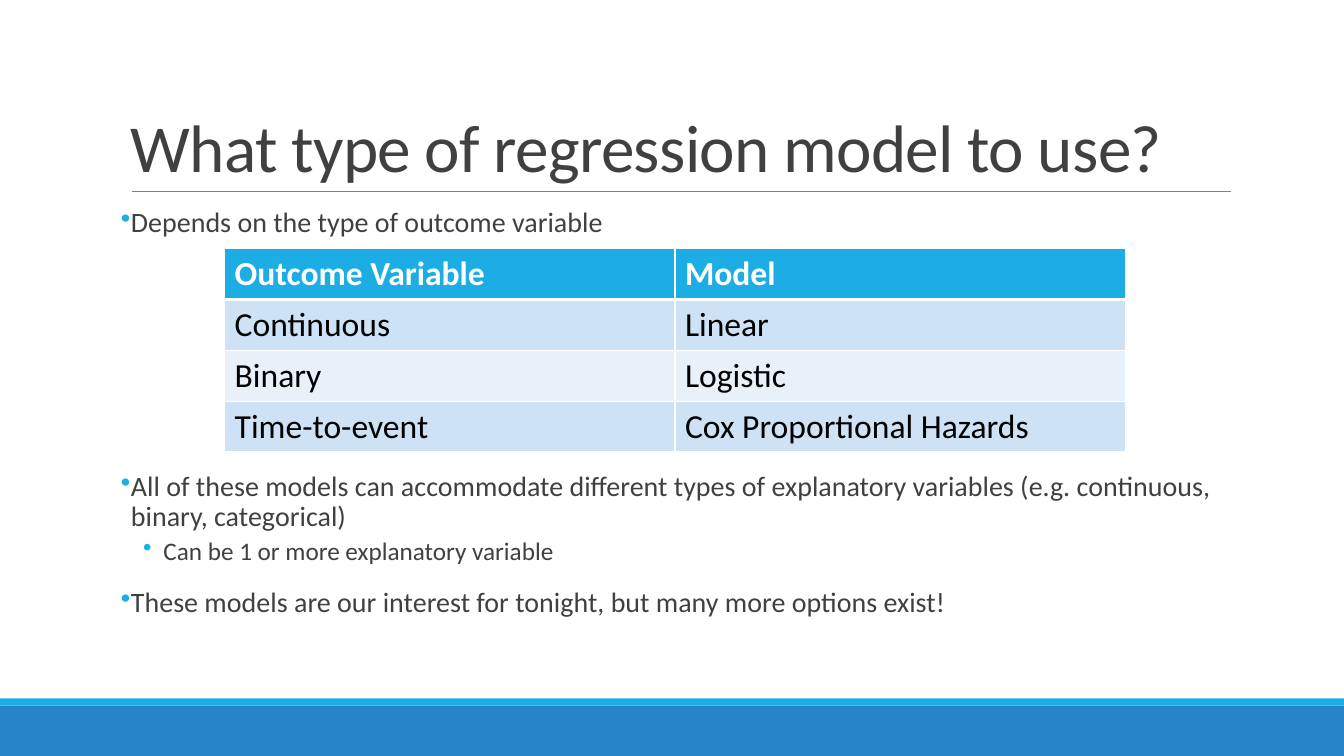
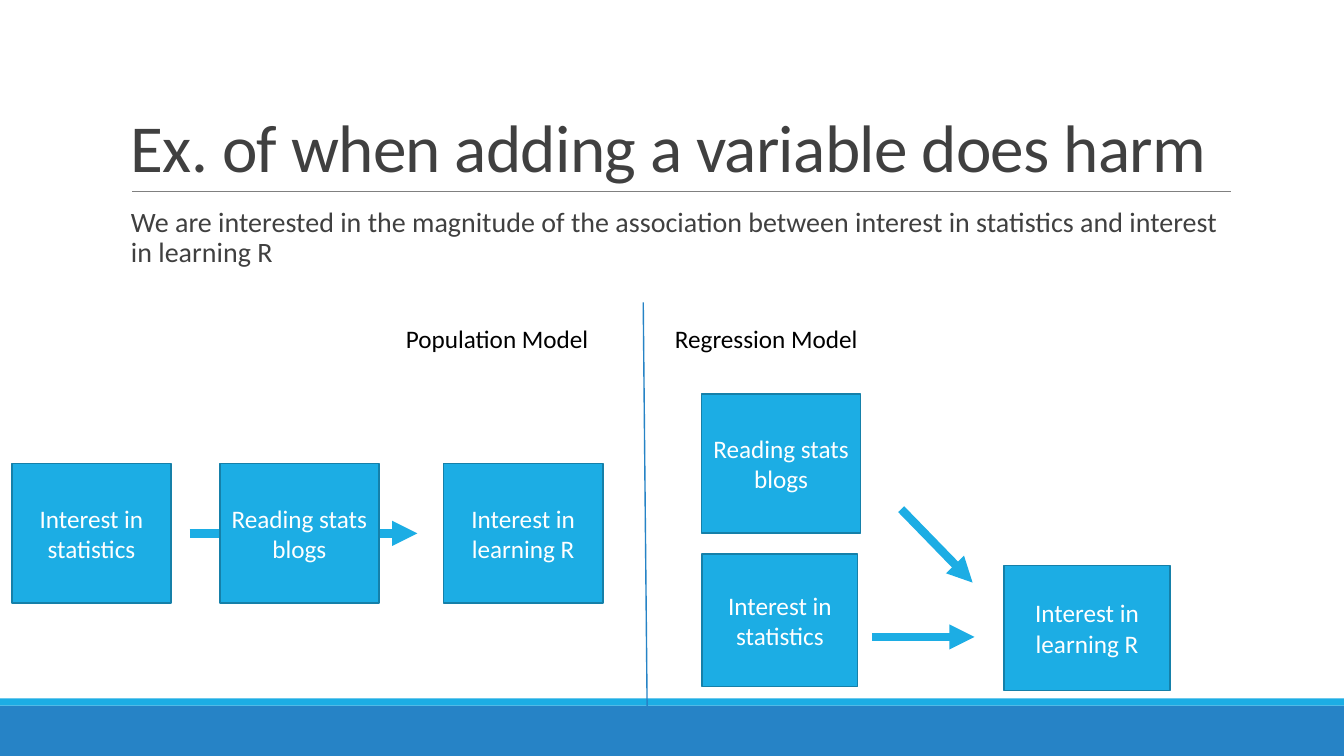
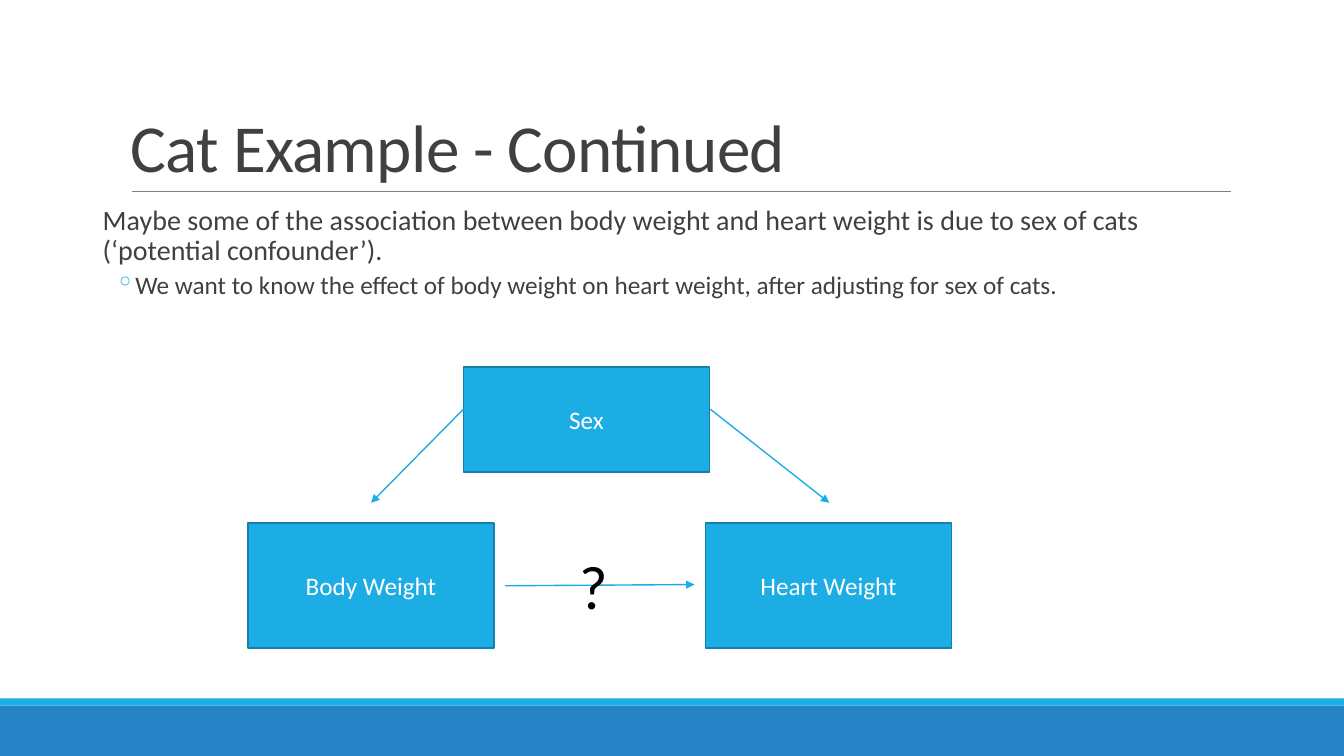
from dataclasses import dataclass
from typing import Optional

from lxml.etree import SubElement
from pptx import Presentation
from pptx.dml.color import RGBColor
from pptx.enum.shapes import MSO_CONNECTOR, MSO_SHAPE
from pptx.enum.text import MSO_ANCHOR, MSO_AUTO_SIZE, PP_ALIGN
from pptx.oxml.ns import qn
from pptx.oxml.xmlchemy import OxmlElement
from pptx.presentation import Presentation as Deck
from pptx.shapes.autoshape import Shape
from pptx.slide import Slide
from pptx.table import _Cell
from pptx.text.text import _Paragraph
from pptx.util import Cm, Pt

# Shared look
FONT = "Calibri"
SKY = RGBColor(0x1C, 0xAD, 0xE4)
BLUE = RGBColor(0x26, 0x83, 0xC6)
EDGE = RGBColor(0x15, 0x80, 0xA9)
INK = RGBColor(0x40, 0x40, 0x40)
GREY = RGBColor(0x80, 0x80, 0x80)
BLACK = RGBColor(0, 0, 0)
WHITE = RGBColor(0xFF, 0xFF, 0xFF)
ROW_FILLS = (RGBColor(0xCD, 0xE3, 0xF5), RGBColor(0xE8, 0xF1, 0xFA))
SLIDE_WIDTH, SLIDE_HEIGHT = 33.87, 19.05


@dataclass(frozen=True)
class Area:
    """Place and size in centimetres."""
    left: float
    top: float
    width: float
    height: float

    def lengths(self) -> tuple[Cm, Cm, Cm, Cm]:
        return Cm(self.left), Cm(self.top), Cm(self.width), Cm(self.height)


@dataclass(frozen=True)
class Node:
    """Labelled box of a diagram."""
    label: str
    area: Area


@dataclass(frozen=True)
class Stroke:
    """Straight line in centimetres, with an arrowhead unless it is plain."""
    x1: float
    y1: float
    x2: float
    y2: float
    weight: float
    color: RGBColor = SKY
    arrow: bool = True


@dataclass(frozen=True)
class Point:
    """Body paragraph on the first or second level."""
    text: str
    bullet: Optional[str] = None
    level: int = 0


BODY_AREA = Area(3.05, 5.13, 27.94, 2)


def set_font(paragraph: _Paragraph, size: float, color: RGBColor, bold: bool = False) -> None:
    font = paragraph.font
    font.name, font.size, font.bold = FONT, Pt(size), bold
    font.color.rgb = color


def add_rect(slide: Slide, area: Area, fill: RGBColor) -> Shape:
    rect = slide.shapes.add_shape(MSO_SHAPE.RECTANGLE, *area.lengths())
    rect.shadow.inherit = False
    rect.fill.solid()
    rect.fill.fore_color.rgb = fill
    rect.line.fill.background()
    return rect


def add_node(slide: Slide, node: Node) -> None:
    box = add_rect(slide, node.area, SKY)
    box.line.color.rgb = EDGE
    box.line.width = Pt(1.25)
    frame = box.text_frame
    frame.word_wrap = True
    frame.vertical_anchor = MSO_ANCHOR.MIDDLE
    paragraph = frame.paragraphs[0]
    paragraph.text = node.label
    paragraph.alignment = PP_ALIGN.CENTER
    set_font(paragraph, 18, WHITE)


def add_stroke(slide: Slide, stroke: Stroke) -> None:
    connector = slide.shapes.add_connector(
        MSO_CONNECTOR.STRAIGHT, Cm(stroke.x1), Cm(stroke.y1), Cm(stroke.x2), Cm(stroke.y2))
    connector.line.color.rgb = stroke.color
    connector.line.width = Pt(stroke.weight)
    properties = connector._element.spPr
    if stroke.arrow:
        SubElement(properties.find(qn("a:ln")), qn("a:tailEnd"), type="triangle")
    SubElement(properties, qn("a:effectLst"))


def add_label(slide: Slide, text: str, area: Area, size: float) -> None:
    frame = slide.shapes.add_textbox(*area.lengths()).text_frame
    frame.word_wrap = True
    frame.auto_size = MSO_AUTO_SIZE.SHAPE_TO_FIT_TEXT
    frame.paragraphs[0].text = text
    set_font(frame.paragraphs[0], size, BLACK)


def add_bullet(paragraph: _Paragraph, character: str) -> None:
    properties = paragraph._p.get_or_add_pPr()
    color = SubElement(properties, qn("a:buClr"))
    SubElement(color, qn("a:srgbClr"), val=str(SKY))
    SubElement(properties, qn("a:buChar"), char=character)


def add_body(slide: Slide, points: list[Point], area: Area = BODY_AREA) -> None:
    frame = slide.shapes.add_textbox(*area.lengths()).text_frame
    frame.word_wrap = True
    frame.margin_left = frame.margin_right = 0
    for index, point in enumerate(points):
        paragraph = frame.add_paragraph() if index else frame.paragraphs[0]
        paragraph.text = point.text
        margin, hanging, before, after, size = (
            (1.07, -0.51, 2, 4, 18) if point.level else (0.25, -0.25, 12, 2, 20))
        properties = paragraph._p.get_or_add_pPr()
        properties.set("marL", str(Cm(margin)))
        properties.set("indent", str(Cm(hanging) if point.bullet else 0))
        if point.bullet:
            add_bullet(paragraph, point.bullet)
        paragraph.line_spacing = 0.9
        paragraph.space_before = Pt(before if index else 0)
        paragraph.space_after = Pt(after)
        set_font(paragraph, size, INK)


def add_titled_slide(deck: Deck, title: str) -> Slide:
    slide = deck.slides.add_slide(deck.slide_layouts[6])
    # Footer bands and title rule
    add_rect(slide, Area(0, 17.78, SLIDE_WIDTH, 1.27), BLUE)
    add_rect(slide, Area(0, 17.6, SLIDE_WIDTH, 0.18), SKY)
    add_stroke(slide, Stroke(3.33, 4.83, 31.01, 4.83, 0.5, GREY, arrow=False))
    # Title
    frame = slide.shapes.add_textbox(*Area(3.05, 0.79, 27.94, 4.04).lengths()).text_frame
    frame.word_wrap = True
    frame.vertical_anchor = MSO_ANCHOR.BOTTOM
    heading = frame.paragraphs[0]
    heading.text = title
    heading.line_spacing = 0.85
    set_font(heading, 48, INK)
    heading.runs[0]._r.get_or_add_rPr().set("spc", "-50")
    return slide


def set_borders(cell: _Cell, bottom: float) -> None:
    properties = cell._tc.get_or_add_tcPr()
    widths = {"a:lnL": 1, "a:lnR": 1, "a:lnT": 1, "a:lnB": bottom}
    for position, (side, width) in enumerate(widths.items()):
        border = OxmlElement(side)
        border.set("w", str(Pt(width)))
        fill = SubElement(border, qn("a:solidFill"))
        SubElement(fill, qn("a:srgbClr"), val=str(WHITE))
        properties.insert(position, border)


def add_model_table(slide: Slide, rows: list[tuple[str, str]]) -> None:
    area = Area(5.66, 6.27, 22.7, 1.28 * len(rows))
    table = slide.shapes.add_table(len(rows), 2, *area.lengths()).table
    for row, texts in enumerate(rows):
        header = row == 0
        for column, text in enumerate(texts):
            cell = table.cell(row, column)
            cell.text = text
            cell.fill.solid()
            cell.fill.fore_color.rgb = SKY if header else ROW_FILLS[(row - 1) % 2]
            set_borders(cell, 3 if header else 1)
            set_font(cell.text_frame.paragraphs[0], 24, WHITE if header else BLACK, header)


def build_model_choice(deck: Deck) -> None:
    slide = add_titled_slide(deck, "What type of regression model to use?")
    add_body(slide, [Point("Depends on the type of outcome variable", "•")],
             Area(3.05, 5.13, 27.94, 1.1))
    add_model_table(slide, [
        ("Outcome Variable", "Model"),
        ("Continuous", "Linear"),
        ("Binary", "Logistic"),
        ("Time-to-event", "Cox Proportional Hazards"),
    ])
    add_body(slide, [
        Point("All of these models can accommodate different types of explanatory variables "
              "(e.g. continuous, binary, categorical)", "•"),
        Point("Can be 1 or more explanatory variable", "•", level=1),
        Point("These models are our interest for tonight, but many more options exist!", "•"),
    ], Area(3.05, 11.78, 27.94, 4.5))


def build_harmful_variable(deck: Deck) -> None:
    slide = add_titled_slide(deck, "Ex. of when adding a variable does harm")
    add_body(slide, [Point("We are interested in the magnitude of the association between "
                           "interest in statistics and interest in learning R")])
    cause, mediator, effect = (
        "Interest in statistics", "Reading stats blogs", "Interest in learning R")

    # Arrows lie under the boxes
    for stroke in (
        Stroke(4.78, 13.44, 10.52, 13.44, 6),
        Stroke(21.97, 16.05, 24.56, 16.05, 6),
        Stroke(22.71, 12.83, 24.51, 14.68, 6),
        Stroke(16.21, 7.62, 16.31, 18.01, 1, BLUE, arrow=False),
    ):
        add_stroke(slide, stroke)

    # Population model, then regression model
    for label, left in ((cause, 0.3), (mediator, 5.54), (effect, 11.18)):
        add_node(slide, Node(label, Area(left, 11.68, 4.01, 3.51)))
    for node in (
        Node(mediator, Area(17.68, 9.93, 4.01, 3.51)),
        Node(cause, Area(17.7, 13.97, 3.91, 3.33)),
        Node(effect, Area(25.3, 14.25, 4.19, 3.15)),
    ):
        add_node(slide, node)
    for label, left in (("Population Model", 9.98), ("Regression Model", 16.76)):
        add_label(slide, label, Area(left, 8.03, 5.46, 1.02), 18)


def build_cat_example(deck: Deck) -> None:
    slide = add_titled_slide(deck, "Cat Example - Continued")
    add_body(slide, [
        Point("Maybe some of the association between body weight and heart weight is due to "
              "sex of cats (‘potential confounder’)."),
        Point("We want to know the effect of body weight on heart weight, after adjusting "
              "for sex of cats.", "◦", level=1),
    ], Area(2.34, 5.08, 29.21, 3))

    # Confounder diagram
    for node in (
        Node("Body Weight", Area(6.25, 13.18, 6.2, 3.15)),
        Node("Heart Weight", Area(17.78, 13.18, 6.2, 3.15)),
        Node("Sex", Area(11.68, 9.25, 6.2, 2.64)),
    ):
        add_node(slide, node)
    for stroke in (
        Stroke(17.9, 10.31, 20.9, 12.67, 1),
        Stroke(11.68, 10.31, 9.35, 12.67, 1),
        Stroke(12.73, 14.76, 17.5, 14.73, 1),
    ):
        add_stroke(slide, stroke)
    add_label(slide, "?", Area(14.35, 13.69, 1.73, 2.13), 44)


def main() -> None:
    deck = Presentation()
    deck.slide_width, deck.slide_height = Cm(SLIDE_WIDTH), Cm(SLIDE_HEIGHT)
    build_model_choice(deck)
    build_harmful_variable(deck)
    build_cat_example(deck)
    deck.save("out.pptx")


if __name__ == "__main__":
    main()
